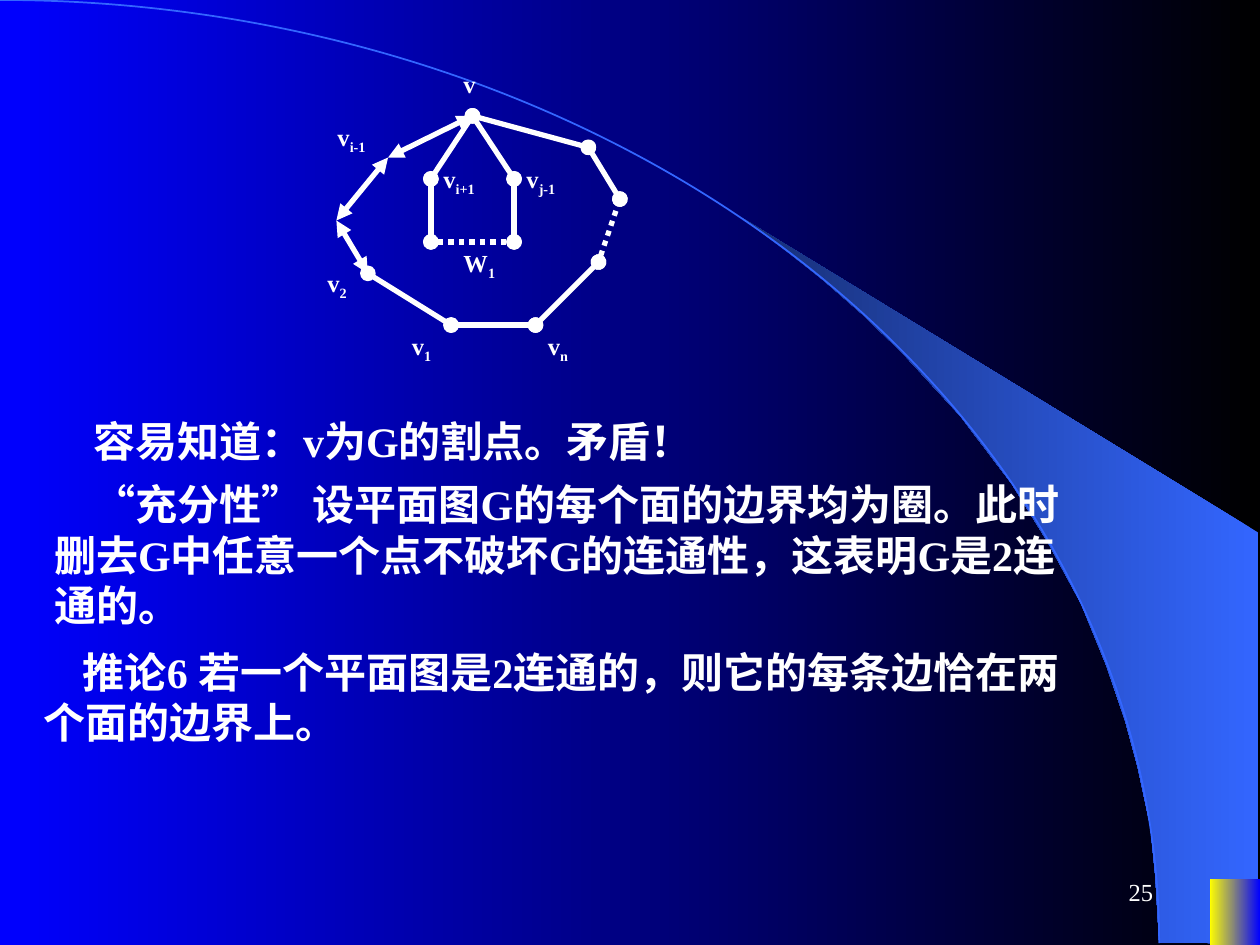
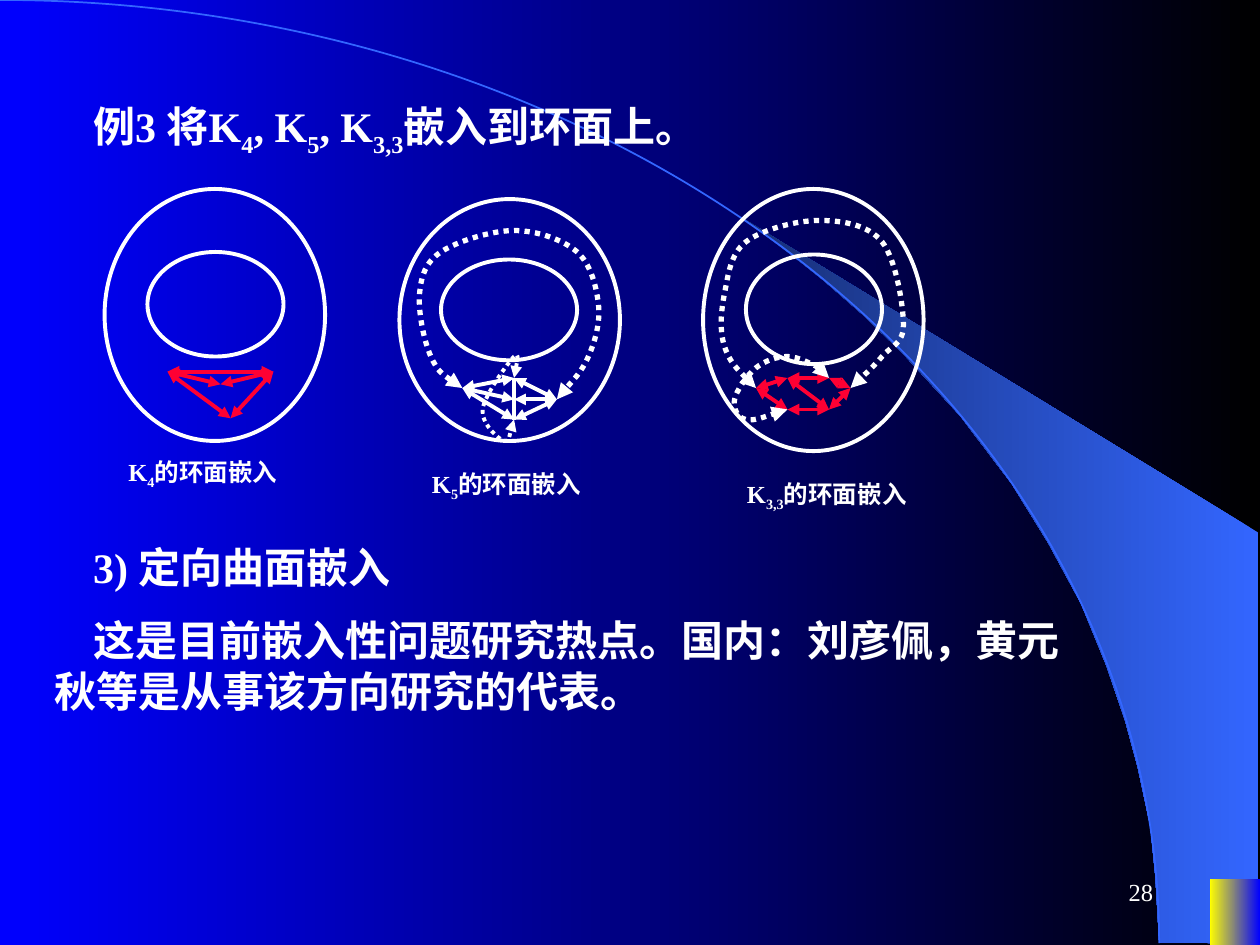
from lxml import etree
from pptx import Presentation
from pptx import util as u
from pptx.dml.color import RGBColor
from pptx.enum import dml, shapes, text
from pptx.oxml import ns

WHITE, RED, BLUE = "FFFFFF", "FF0033", "3366FF"
FONT = "Times New Roman"
BODY_FORMAT = {"size": u.Pt(24), "bold": True, "name": FONT}
LABEL_FORMAT = {**BODY_FORMAT, "size": u.Pt(14)}
NUMBER_FORMAT = {**LABEL_FORMAT, "bold": False}
FRAME_FORMAT = {
    "word_wrap": True,
    "auto_size": text.MSO_AUTO_SIZE.NONE,
    "vertical_anchor": text.MSO_ANCHOR.TOP,
}
BODY_WIDTH = 8.42
FIRST_LINE_INDENT = 0.31

WEDGE = [
    (9.2, 7.48), (9.99, 7.49), (9.99, 4.23), (5.89, 1.73), (6.24, 1.99), (6.53, 2.22),
    (6.85, 2.5), (7.16, 2.8), (7.62, 3.3), (8.03, 3.84), (8.32, 4.31), (8.58, 4.79),
    (8.78, 5.28), (8.93, 5.72), (9.03, 6.09), (9.13, 6.56), (9.17, 6.96),
]

CYCLE_NODES = {
    "v": (1.25, 0.42), "i": (0.58, 0.75), "h": (0.17, 1.25), "2": (0.42, 1.67),
    "1": (1.08, 2.08), "n": (1.75, 2.08), "p": (2.25, 1.58), "q": (2.42, 1.08),
    "r": (2.17, 0.67), "a": (0.92, 0.92), "b": (0.92, 1.42), "c": (1.58, 1.42),
    "d": (1.58, 0.92),
}
CYCLE_LABELS = [
    ("v", 1.08, 0, 0.33), ("v_j-1", 1.58, 0.75, 0.75), ("v_1", 0.67, 2.08, 0.58),
    ("v_2", 0, 1.58, 0.67), ("v_i-1", 0.08, 0.42, 0.75), ("v_i+1", 0.92, 0.75, 1.08),
    ("v_n", 1.75, 2.08, 0.5), ("W_1", 1.08, 1.42, 0.58),
]

TORI = [
    {
        "box": (0.83, 1.5, 1.75, 2), "hole": (0.34, 0.5, 1.08, 0.83),
        "caption": ("K_4_的环面嵌入", 0.09, 2.08), "color": RED,
        "nodes": {"a": (0.5, 1.45), "b": (1.34, 1.45), "c": (0.92, 1.55), "d": (1, 1.82)},
        "arrows": "ab ac bc ad bd", "plain": "", "loops": [],
    },
    {
        "box": (3.17, 1.58, 1.75, 1.92), "hole": (0.33, 0.48, 1.08, 0.8),
        "caption": ("K_5_的环面嵌入", 0.16, 2.09), "color": WHITE,
        "nodes": {"a": (0.91, 1.42), "b": (0.5, 1.5), "c": (0.91, 1.75),
                  "d": (1.25, 1.59), "m": (0.91, 1.59)},
        "arrows": "ab bc ad dc bm md", "plain": "mc am",
        "loops": [
            (2.25, [(0.91, 1.42), (0.91, 1.25), (0.66, 1.67), (0.83, 1.92), (0.91, 1.75)]),
            (3, [(0.5, 1.5), (0.25, 1.25), (0.16, 0.75), (0.33, 0.42), (0.91, 0.25),
                 (1.41, 0.42), (1.58, 0.84), (1.5, 1.25), (1.25, 1.59)]),
        ],
    },
    {
        "box": (5.58, 1.5, 1.75, 2.08), "hole": (0.34, 0.52, 1.08, 0.87),
        "caption": ("K_3,3_的环面嵌入", 0.25, 2.25), "color": RED,
        "nodes": {"a": (0.67, 1.5), "b": (1, 1.5), "c": (1.17, 1.58),
                  "d": (1, 1.75), "e": (0.67, 1.75), "f": (0.42, 1.58)},
        "arrows": "ab bc cd ed af fe ad", "plain": "",
        "loops": [
            (3, [(1, 1.5), (0.92, 1.42), (0.67, 1.33), (0.42, 1.42), (0.25, 1.67),
                 (0.34, 1.83), (0.67, 1.75)]),
            (3, [(0.42, 1.58), (0.17, 1.25), (0.17, 0.83), (0.34, 0.42), (0.92, 0.25),
                 (1.42, 0.42), (1.59, 1.08), (1.42, 1.33), (1.17, 1.58)]),
        ],
    },
]


def rgb(value):
    return RGBColor.from_string(value)


def inches(values):
    return [u.Inches(value) for value in values]


def shift(point, box):
    return point[0] + box[0], point[1] + box[1]


def apply_format(target, values):
    for name, value in values.items():
        setattr(target, name, value)


def fill_gradient(fill, first, last):
    fill.gradient()
    fill.gradient_angle = 180
    for stop, color in zip(fill.gradient_stops, (first, last)):
        stop.color.rgb = rgb(color)


def style_line(shape, color, width, dotted=False, ends=None):
    shape.line.color.rgb = rgb(color)
    shape.line.width = u.Pt(width)
    if dotted:
        shape.line.dash_style = dml.MSO_LINE.ROUND_DOT
    if ends:
        outline = shape.element.spPr.find(ns.qn("a:ln"))
        for tag in ("a:headEnd", "a:tailEnd"):
            etree.SubElement(outline, ns.qn(tag)).set("type", ends)


def add_edge(slide, start, end, color, width, dotted=False, ends=None):
    edge = slide.shapes.add_connector(shapes.MSO_CONNECTOR.STRAIGHT, *inches(start + end))
    style_line(edge, color, width, dotted, ends)
    etree.SubElement(edge.element.spPr, ns.qn("a:effectLst"))


def add_outline(slide, points, close=False):
    start, *rest = [tuple(inches(point)) for point in points]
    builder = slide.shapes.build_freeform(*start)
    builder.add_line_segments(rest, close=close)
    shape = builder.convert_to_shape()
    shape.shadow.inherit = False
    shape.fill.background()
    return shape


def add_preset(slide, preset, box):
    shape = slide.shapes.add_shape(preset, *inches(box))
    shape.shadow.inherit = False
    shape.fill.background()
    return shape


def curve_controls(knots):
    padded = [knots[0], *knots, knots[-1]]
    controls = []
    for a, b, c, d in zip(padded, padded[1:], padded[2:], padded[3:]):
        leaving = tuple(q + (r - p) / 6 for p, q, r in zip(a, b, c))
        arriving = tuple(q - (r - p) / 6 for p, q, r in zip(b, c, d))
        if not controls:
            leaving = tuple((p + q) / 2 for p, q in zip(b, arriving))
        controls.append((leaving, arriving))
    return controls


def add_curve(slide, knots):
    shape = add_outline(slide, knots)
    segments = list(shape.element.spPr.iter(ns.qn("a:lnTo")))
    for segment, controls in zip(segments, curve_controls(knots)):
        segment.tag = ns.qn("a:cubicBezTo")
        for index, (x, y) in enumerate(controls):
            point = etree.Element(ns.qn("a:pt"))
            point.set("x", str(u.Inches(x) - shape.left))
            point.set("y", str(u.Inches(y) - shape.top))
            segment.insert(index, point)
    return shape


def write(shape, content, font_format, align=text.PP_ALIGN.LEFT):
    apply_format(shape.text_frame, FRAME_FORMAT)
    paragraph = shape.text_frame.paragraphs[0]
    paragraph.alignment = align
    for index, part in enumerate(content.split("_")):
        run = paragraph.add_run()
        run.text = part
        apply_format(run.font, font_format)
        run.font.color.rgb = rgb(WHITE)
        if index % 2:
            run.font._element.set("baseline", "-25000")
    return paragraph


def add_label(slide, box, content, font_format=LABEL_FORMAT, align=text.PP_ALIGN.LEFT):
    label = slide.shapes.add_textbox(*inches(box))
    write(label, content, font_format, align)
    return label


def write_passage(shape, box, content):
    apply_format(shape, dict(zip(("left", "top", "width", "height"), inches(box))))
    paragraph = write(shape, content, BODY_FORMAT)
    paragraph.space_before = u.Pt(15)
    properties = paragraph._p.get_or_add_pPr()
    properties.set("marL", "0")
    properties.set("indent", str(u.Inches(FIRST_LINE_INDENT)))
    etree.SubElement(properties, ns.qn("a:buNone"))


def add_passages(slide, passages):
    holders = [slide.shapes.title, slide.placeholders[1]]
    for index, (left, top, height, content) in enumerate(passages):
        box = (left, top, BODY_WIDTH, height)
        holder = holders[index] if index < len(holders) else slide.shapes.add_textbox(*inches(box))
        write_passage(holder, box, content)


def add_page_number(slide, number):
    label = add_label(slide, (7.17, 6.83, 2.08, 0.5), str(number), NUMBER_FORMAT,
                      text.PP_ALIGN.RIGHT)
    label.text_frame.vertical_anchor = text.MSO_ANCHOR.MIDDLE


def draw_cycle_graph(slide, box):
    def edges(names, ends, dotted=False):
        for start, end in names.split():
            add_edge(slide, shift(CYCLE_NODES[start], box), shift(CYCLE_NODES[end], box),
                     WHITE, 3, dotted, ends)

    edges("vi ih h2", "triangle")
    edges("21 1n np qr vr va ab vd dc", "oval")
    edges("pq bc", "oval", dotted=True)
    for content, left, top, width in CYCLE_LABELS:
        add_label(slide, (*shift((left, top), box), width, 0.37), content)


def draw_torus(slide, torus):
    box, hole, nodes = torus["box"], torus["hole"], torus["nodes"]
    for ring in (box, (*shift(hole, box), *hole[2:])):
        style_line(add_preset(slide, shapes.MSO_SHAPE.OVAL, ring), WHITE, 2.25)
    for names, ends in ((torus["arrows"], "triangle"), (torus["plain"], None)):
        for start, end in names.split():
            add_edge(slide, shift(nodes[start], box), shift(nodes[end], box),
                     torus["color"], 2.25, ends=ends)
    for width, knots in torus["loops"]:
        loop = add_curve(slide, [shift(point, box) for point in knots])
        style_line(loop, WHITE, width, dotted=True, ends="triangle")
    content, left, top = torus["caption"]
    add_label(slide, (*shift((left, top), box), 1.6, 0.37), content)


def install_backdrop(slide):
    layout = slide.slide_layout
    fill_gradient(layout.background.fill, "000000", "0000FF")
    wedge = add_outline(slide, WEDGE, close=True)
    fill_gradient(wedge.fill, BLUE, "172F75")
    wedge.line.fill.background()
    arc = add_preset(slide, shapes.MSO_SHAPE.ARC, (-9.2, 0, 18.4, 14.97))
    style_line(arc, BLUE, 1)
    corner = add_preset(slide, shapes.MSO_SHAPE.RECTANGLE, (9.6, 6.98, 0.4, 0.52))
    fill_gradient(corner.fill, "0000FF", "FFFF00")
    corner.line.fill.background()
    for shape in (wedge, arc, corner):
        layout.shapes.element.append(shape.element)


def build_proof_slide(presentation):
    slide = presentation.slides.add_slide(presentation.slide_layouts[1])
    draw_cycle_graph(slide, (2.5, 0.5))
    add_passages(slide, [
        (0.33, 3.25, 0.5, "容易知道：v为G的割点。矛盾！"),
        (0.33, 3.75, 1.3, "“充分性” 设平面图G的每个面的边界均为圈。此时删去G中任意一个点"
                          "不破坏G的连通性，这表明G是2连通的。"),
        (0.25, 5.08, 0.9, "推论6 若一个平面图是2连通的，则它的每条边恰在两个面的边界上。"),
    ])
    add_page_number(slide, 25)
    return slide


def build_torus_slide(presentation):
    slide = presentation.slides.add_slide(presentation.slide_layouts[1])
    for torus in TORI:
        draw_torus(slide, torus)
    add_passages(slide, [
        (0.33, 0.75, 0.56, "例3 将K_4_, K_5_, K_3,3_嵌入到环面上。"),
        (0.33, 4.83, 0.9, "这是目前嵌入性问题研究热点。国内：刘彦佩，黄元秋等是从事该方向研究的代表。"),
        (0.33, 4.25, 0.5, "3) 定向曲面嵌入"),
    ])
    add_page_number(slide, 28)


def main():
    presentation = Presentation()
    presentation.slide_width, presentation.slide_height = inches((10, 7.5))
    proof_slide = build_proof_slide(presentation)
    build_torus_slide(presentation)
    install_backdrop(proof_slide)
    presentation.save("out.pptx")


if __name__ == "__main__":
    main()
